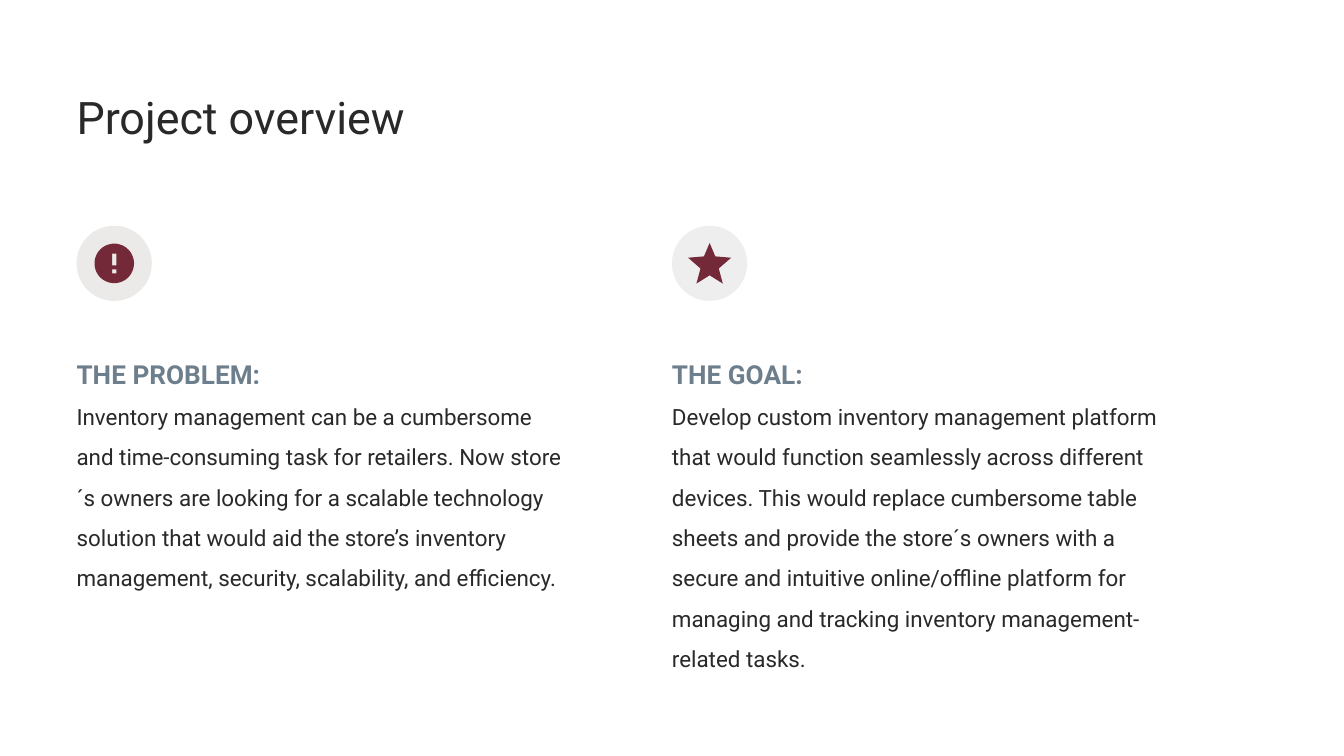
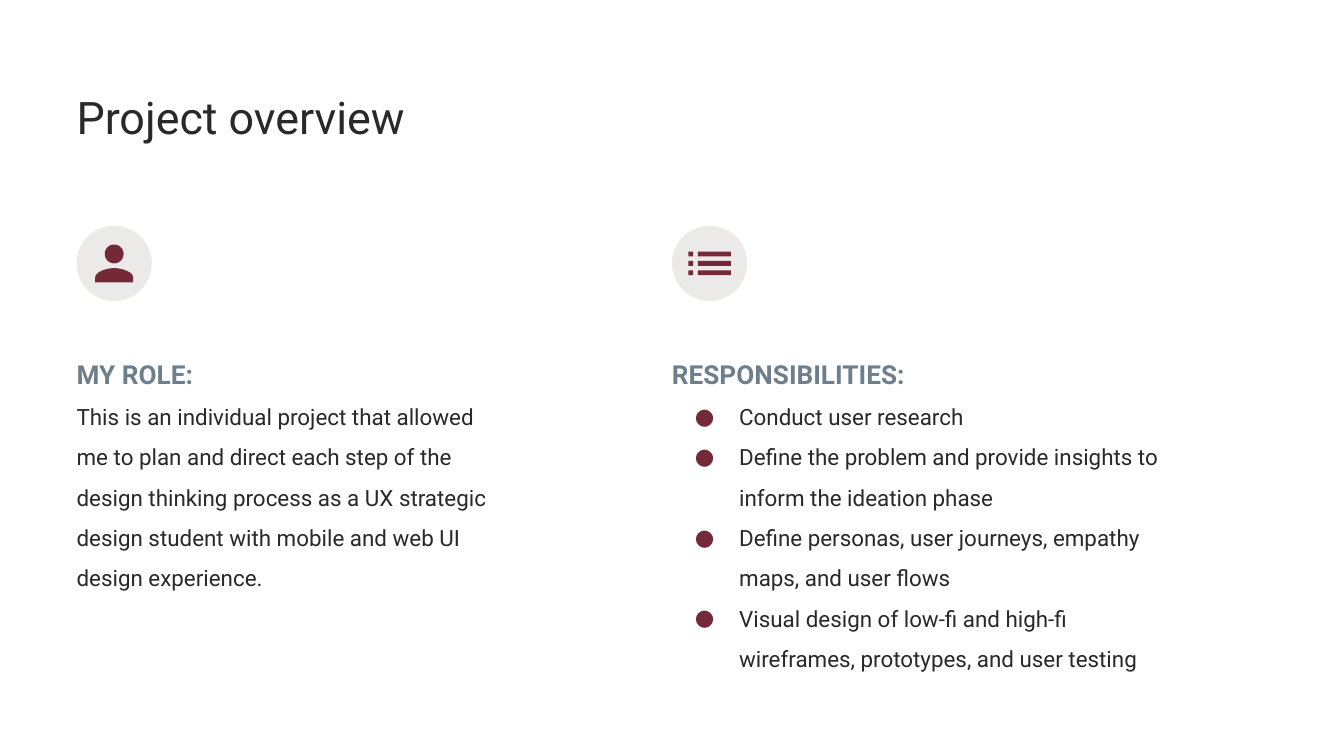
import math
from lxml import etree
from pptx import Presentation, util as u
from pptx.dml.color import RGBColor
from pptx.enum import shapes, text
from pptx.oxml.ns import qn

CELL = u.Inches(0.1)
WIDE, HIGH = 100, 56.25
COLS = 5.7, 50
DISC = 5.6
DISC_ROW, BODY_ROW = 16.8, 24.5
WINE, SAND, MIST = "732937", "ECE9E9", "EEEEEE"
FACE = "Roboto"
TITLE = {"size": u.Pt(24), "color": "292929"}
HEAD = {"size": u.Pt(14), "color": "6D7E8C", "bold": True}
BODY = {"size": u.Pt(12), "color": "292929", "bold": False}


def grid(*cells):
    """Turn grid cells into EMU lengths."""
    return [u.Emu(round(c * CELL)) for c in cells]


def paint(fill, tone):
    """Give a fill one solid colour."""
    fill.solid()
    fill.fore_color.rgb = RGBColor.from_string(tone)


def style(font, look):
    """Apply a dict of format values to a font."""
    font.name = FACE
    for key, val in look.items():
        if key == "color":
            font.color.rgb = RGBColor.from_string(val)
        else:
            setattr(font, key, val)


def bullet(par):
    """Turn a paragraph into a hanging bullet item."""
    props = par._p.get_or_add_pPr()
    props.set("marL", str(u.Inches(0.5)))
    props.set("indent", str(-u.Inches(0.33)))
    tint = etree.SubElement(props, qn("a:buClr"))
    etree.SubElement(tint, qn("a:srgbClr"), val=WINE)
    etree.SubElement(props, qn("a:buFont"), typeface=FACE)
    etree.SubElement(props, qn("a:buChar"), char="●")


def write(slide, box, rows, gap=None):
    """Add a text box from rows of words, look and bullet flag."""
    frame = slide.shapes.add_textbox(*grid(*box)).text_frame
    values = {"word_wrap": True, "margin_left": 0,
              "auto_size": text.MSO_AUTO_SIZE.SHAPE_TO_FIT_TEXT}
    for side in ("right", "top", "bottom"):
        values["margin_" + side] = CELL
    for key, val in values.items():
        setattr(frame, key, val)
    for i, (words, look, dot) in enumerate(rows):
        par = frame.add_paragraph() if i else frame.paragraphs[0]
        if gap:
            par.line_spacing = gap
        if dot:
            bullet(par)
        run = par.add_run()
        run.text = words
        style(run.font, look)


def finish(shape, tone):
    """Leave a shape with a flat fill only."""
    shape.shadow.inherit = False
    shape.line.fill.background()
    paint(shape.fill, tone)


def rect(x, y, w, h):
    """Return the corners of a rectangle."""
    return [(x, y), (x + w, y), (x + w, y + h), (x, y + h)]


def ring(y, r, steps=64):
    """Return points on a circle centred on the icon's axis."""
    turns = [math.tau * i / steps for i in range(steps)]
    return [(r * math.sin(t), y - r * math.cos(t)) for t in turns]


def curve(a, b, c, d, steps=16):
    """Return points on a cubic curve."""
    pts = []
    for i in range(steps + 1):
        t = i / steps
        mix = (1 - t) ** 3, 3 * t * (1 - t) ** 2, 3 * t * t * (1 - t), t ** 3
        pts.append(tuple(sum(m * p[k] for m, p in zip(mix, (a, b, c, d)))
                         for k in (0, 1)))
    return pts


def mirror(half):
    """Close a right half with its reflection."""
    return half + [(-x, y) for x, y in reversed(half)]


def alert():
    """Outline an exclamation mark cut out of a circle."""
    return [ring(0, 1.47), rect(-0.15, -0.73, 0.3, 0.88),
            rect(-0.15, 0.44, 0.3, 0.3)]


def star():
    """Outline a five-pointed star."""
    return [mirror([(0, -1.52), (0.42, -0.52), (1.6, -0.42), (0.68, 0.38),
                    (0.98, 1.5), (0, 0.89)])]


def person():
    """Outline a head and shoulders."""
    arm = curve((0, 0.35), (0.47, 0.35), (1.41, 0.59), (1.41, 1.06))
    return [ring(-0.7, 0.7), mirror(arm + [(1.41, 1.41)])]


def items():
    """Outline three list rows with their markers."""
    return [rect(x, -0.88 + 0.7 * row, w, 0.36)
            for row in range(3) for x, w in ((-1.58, 0.36), (-0.88, 2.46))]


def badge(slide, col, tone, rings):
    """Draw a disc with an icon at its centre."""
    disc = slide.shapes.add_shape(shapes.MSO_SHAPE.OVAL,
                                  *grid(col, DISC_ROW, DISC, DISC))
    finish(disc, tone)
    mid = col + DISC / 2, DISC_ROW + DISC / 2
    pen = None
    for loop in rings:
        pts = [grid(mid[0] + x, mid[1] + y) for x, y in loop]
        if pen is None:
            pen = slide.shapes.build_freeform(*pts[0])
        else:
            pen.move_to(*pts[0])
        pen.add_line_segments(pts[1:], close=True)
    finish(pen.convert_to_shape(), WINE)


def panel(slide, col, size, tone, rings, head, lines, dots=False):
    """Add one column: badge, heading and body."""
    rows = [(head, HEAD, False)] + [(line, BODY, dots) for line in lines]
    write(slide, (col, BODY_ROW, *size), rows, gap=1.5)
    badge(slide, col, tone, rings)


def page(deck, *panels):
    """Add a titled slide with a panel in each column."""
    slide = deck.slides.add_slide(deck.slide_layouts[6])
    paint(slide.background.fill, "FFFFFF")
    write(slide, (COLS[0], 5.7, 67.3, 6.1),
          [("Project overview", TITLE, False)])
    for col, part in zip(COLS, panels):
        panel(slide, col, *part)


def main():
    """Build the deck."""
    deck = Presentation()
    deck.slide_width, deck.slide_height = grid(WIDE, HIGH)
    page(
        deck,
        ((37.7, 19.7), SAND, alert(), "THE PROBLEM:", [
            "Inventory management can be a cumbersome and time-consuming "
            "task for retailers. Now store´s owners are looking for a "
            "scalable technology solution that would aid the store’s "
            "inventory management, security, scalability, and efficiency."]),
        ((37.7, 25.8), MIST, star(), "THE GOAL:", [
            "Develop custom inventory management platform that would "
            "function seamlessly across different devices. This would "
            "replace cumbersome table sheets and provide the store´s owners "
            "with a secure and intuitive online/offline platform for "
            "managing and tracking inventory management-related tasks."]))
    page(
        deck,
        ((31.9, 19.7), SAND, person(), "MY ROLE:", [
            "This is an individual project that allowed me to plan and "
            "direct each step of the design thinking process as a UX "
            "strategic design student with mobile and web UI design "
            "experience."]),
        ((37.7, 25.8), SAND, items(), "RESPONSIBILITIES:", [
            "Conduct user research",
            "Define the problem and provide insights to inform the "
            "ideation phase",
            "Define personas, user journeys, empathy maps, and user flows",
            "Visual design of low-fi and high-fi wireframes, prototypes, "
            "and user testing"], True))
    deck.save("out.pptx")


if __name__ == "__main__":
    main()
